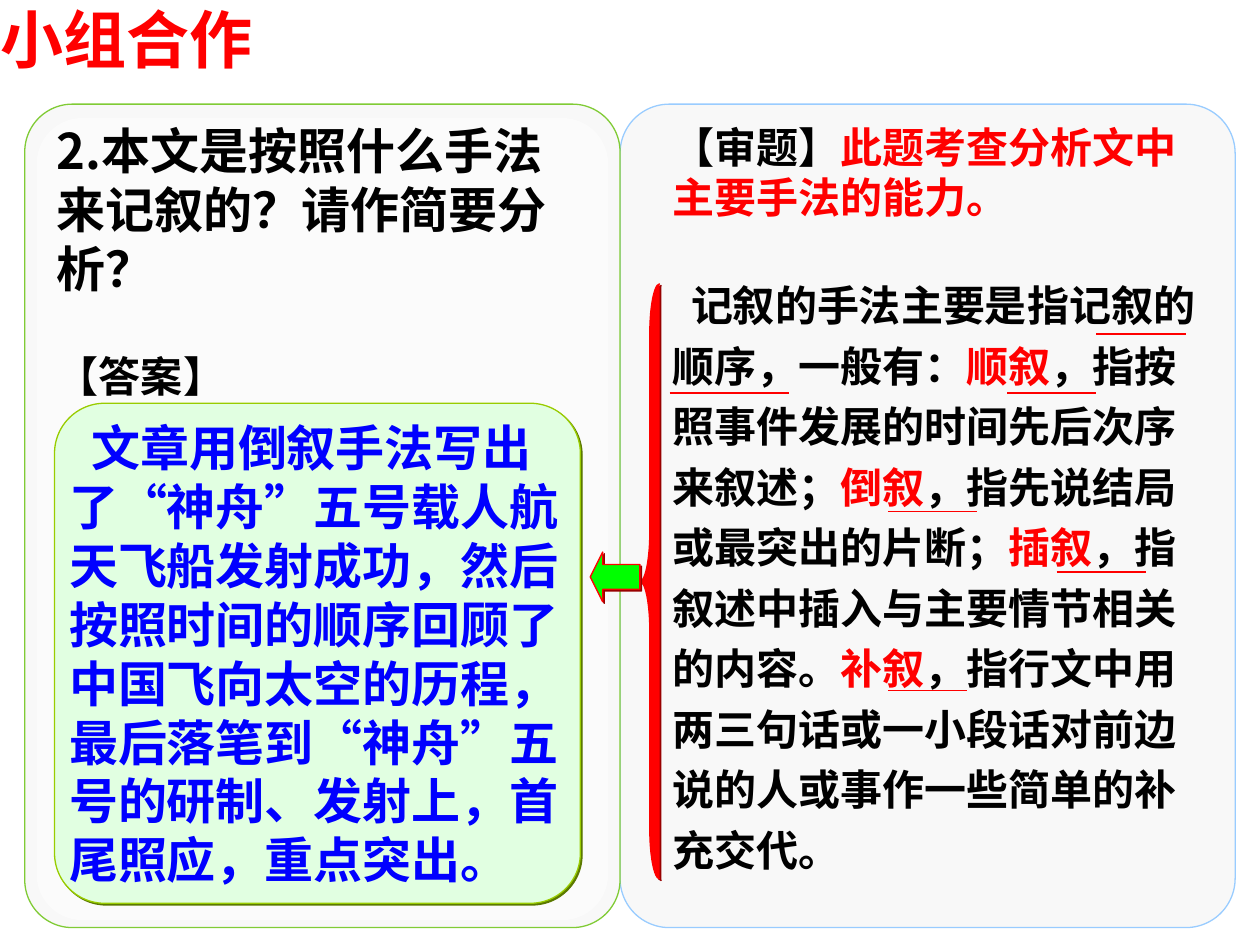
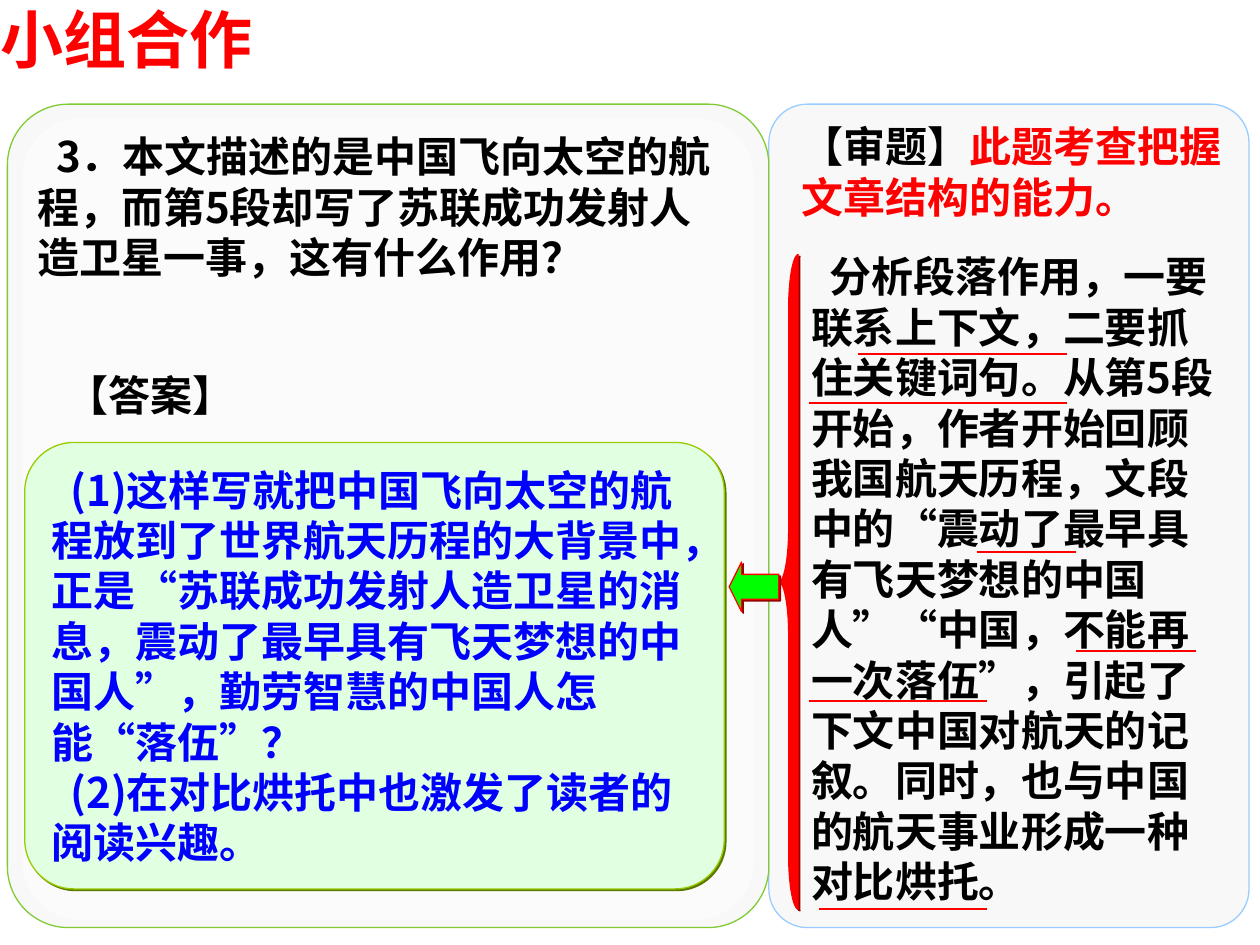
from lxml.etree import SubElement
from pptx import Presentation
from pptx.dml.color import RGBColor
from pptx.enum.lang import MSO_LANGUAGE_ID
from pptx.enum.shapes import MSO_CONNECTOR, MSO_SHAPE
from pptx.enum.text import MSO_ANCHOR, MSO_AUTO_SIZE, PP_ALIGN
from pptx.oxml.ns import qn
from pptx.util import Cm, Pt

BLACK, RED, BLUE, GREEN, WHITE = "000000", "FF0000", "0000FF", "00FF00", "FFFFFF"
PANEL_FILL, LEFT_EDGE, RIGHT_EDGE = "F8F8F8", "80CB35", "99CCFF"
ANSWER_FILL, ANSWER_EDGE = "E1FFE1", "99CC00"
ANSWER_SHADOW, RED_SHADOW = "5B7900", "980000"
CJK_FONT = "Noto Sans CJK SC"
PANEL_TOP, PANEL_HEIGHT = 2.1, 16.6
TOP, MIDDLE = MSO_ANCHOR.TOP, MSO_ANCHOR.MIDDLE


def rgb(color):
    return RGBColor.from_string(color)


def lengths(place):
    return [Cm(value) for value in place]


# Text
def add_span(para, text, size, color, font, shadow):
    span = para.add_run()
    span.text = text
    span.font.size = Pt(size)
    span.font.bold = True
    span.font.language_id = MSO_LANGUAGE_ID.SIMPLIFIED_CHINESE
    span.font.color.rgb = rgb(color)
    properties = span.font._element
    if shadow:
        add_shadow(SubElement(properties, qn("a:effectLst")), BLACK)
    span.font.name = font
    SubElement(properties, qn("a:ea"), typeface=CJK_FONT)


def write(shape, text, size=24, color=BLACK, font=CJK_FONT, anchor=TOP,
          margins=(0.25, 0.13), shadow=True, indent=False, spacing=None):
    """Fill a shape with text; parts between asterisks are red."""
    frame = shape.text_frame
    frame.word_wrap = True
    frame.auto_size = MSO_AUTO_SIZE.NONE
    frame.vertical_anchor = anchor
    frame.margin_left = frame.margin_right = Cm(margins[0])
    frame.margin_top = frame.margin_bottom = Cm(margins[1])
    for number, line in enumerate(text.split("\n")):
        para = frame.add_paragraph() if number else frame.paragraphs[0]
        para.alignment = PP_ALIGN.LEFT
        if spacing:
            para.line_spacing = spacing
        if indent:
            para._p.get_or_add_pPr().set("indent", str(Pt(size * 0.45)))
        for part, words in enumerate(line.split("*")):
            if words:
                add_span(para, words, size, RED if part % 2 else color, font, shadow)


def add_text(page, place, text, **style):
    write(page.shapes.add_textbox(*lengths(place)), text, **style)


# Shapes
def add_shadow(effects, color):
    shadow = SubElement(effects, qn("a:outerShdw"), dist=str(Pt(1.4)), dir="2700000",
                        algn="ctr", rotWithShape="0")
    SubElement(shadow, qn("a:srgbClr"), val=color)


def add_form(page, kind, place, fill, edge=None, adjust=(), shadow=None, alpha=None):
    form = page.shapes.add_shape(kind, *lengths(place))
    for number, value in enumerate(adjust):
        form.adjustments[number] = value
    form.fill.solid()
    form.fill.fore_color.rgb = rgb(fill)
    if alpha:
        tint = form._element.spPr.find(qn("a:solidFill"))[0]
        SubElement(tint, qn("a:alpha"), val=str(alpha * 1000))
    if edge:
        form.line.color.rgb = rgb(edge)
        form.line.width = Pt(0.75)
    else:
        form.line.fill.background()
    form.shadow.inherit = False
    if shadow:
        add_shadow(form._element.spPr.find(qn("a:effectLst")), shadow)
    return form


def add_panels(page, left, split, right):
    """Two rounded panels that meet at split, the left one with a pale inner sheet."""
    rounded = MSO_SHAPE.ROUNDED_RECTANGLE
    width = split - left
    inset = width * 0.02
    add_form(page, rounded, (split, PANEL_TOP, right - split, PANEL_HEIGHT),
             PANEL_FILL, RIGHT_EDGE, [0.08])
    add_form(page, rounded, (left, PANEL_TOP, width, PANEL_HEIGHT),
             PANEL_FILL, LEFT_EDGE, [0.08])
    add_form(page, rounded, (left + inset, PANEL_TOP + 0.28, width - 2 * inset,
                             PANEL_HEIGHT - 0.43), WHITE, adjust=[0.08], alpha=50)


def add_answer(page, place, text, corner, **style):
    box = add_form(page, MSO_SHAPE.ROUNDED_RECTANGLE, place, ANSWER_FILL, ANSWER_EDGE,
                   [corner], ANSWER_SHADOW)
    write(box, text, color=BLUE, anchor=MIDDLE, shadow=False, indent=True, **style)


def add_brace_and_arrow(page, left, top, height, curve, arrow_top):
    add_form(page, MSO_SHAPE.LEFT_BRACE, (left, top, 0.4, height), RED, RED,
             [curve, 0.5], RED_SHADOW)
    add_form(page, MSO_SHAPE.LEFT_ARROW, (left - 1, arrow_top, 1, 1), GREEN, RED,
             [0.5, 0.25], RED_SHADOW)


def add_underlines(page, lines):
    for start, end, height in lines:
        line = page.shapes.add_connector(MSO_CONNECTOR.STRAIGHT, Cm(start), Cm(height),
                                         Cm(end), Cm(height))
        line.line.color.rgb = rgb(RED)
        line.line.width = Pt(1)
        SubElement(line._element.spPr, qn("a:effectLst"))


# Pages
def add_page(deck, left, split, right):
    page = deck.slides.add_slide(deck.slide_layouts[5])
    title = page.shapes.title
    title.left, title.top, title.width, title.height = lengths((0, 0, 8.5, 1.52))
    write(title, "小组合作", size=36, color=RED, font="Arial", margins=(0, 0))
    add_panels(page, left, split, right)
    return page


def add_narration_page(deck):
    page = add_page(deck, 0.5, 12.5, 24.9)
    add_text(page, (0.9, 2.31, 10.8, 3.81), "2.本文是按照什么手法来记叙的？请作简要分析？",
             size=28, anchor=MIDDLE)
    add_answer(page, (1.1, 8.13, 10.6, 10.08),
               "文章用倒叙手法写出了“神舟”五号载人航天飞船发射成功，然后按照时间的顺序"
               "回顾了中国飞向太空的历程，最后落笔到“神舟”五号的研制、发射上，首尾照应，"
               "重点突出。", 0.1, size=28, margins=(0, 0))
    add_text(page, (13.3, 2.31, 10.9, 2.29), "【审题】*此题考查分析文中主要手法的能力。*",
             font="Arial")
    add_text(page, (13.3, 5.31, 11.4, 12.45),
             "记叙的手法主要是指记叙的顺序，一般有：*顺叙*，指按照事件发展的时间先后次序"
             "来叙述；*倒叙*，指先说结局或最突出的片断；*插叙*，指叙述中插入与主要情节相关"
             "的内容。*补叙*，指行文中用两三句话或一小段话对前边说的人或事作一些简单的补充"
             "交代。", anchor=MIDDLE, indent=True, spacing=1.2)
    add_underlines(page, [(22.1, 23.9, 6.73), (13.5, 15.9, 7.92), (20.3, 22.1, 7.92),
                          (17.9, 19.7, 10.31), (21.3, 23.1, 11.53), (17.9, 19.5, 13.92)])
    add_brace_and_arrow(page, 12.9, 5.72, 12, 2.5, 11.13)
    add_text(page, (0.9, 6.93, 4.6, 1.27), "【答案】", font="Arial")


def add_structure_page(deck):
    page = add_page(deck, 0.15, 15.5, 25.18)
    add_text(page, (0.5, 2.51, 14.2, 3.3),
             "3．本文描述的是中国飞向太空的航程，而第5段却写了苏联成功发射人造卫星一事，"
             "这有什么作用？", anchor=MIDDLE, indent=True)
    add_answer(page, (0.5, 8.92, 14.1, 9),
               "(1)这样写就把中国飞向太空的航程放到了世界航天历程的大背景中，正是“苏联成功"
               "发射人造卫星的消息，震动了最早具有飞天梦想的中国人”，勤劳智慧的中国人怎能"
               "“落伍”？\n(2)在对比烘托中也激发了读者的阅读兴趣。", 0.11)
    add_text(page, (15.9, 2.31, 9.2, 2.29), "【审题】*此题考查把握文章结构的能力。*",
             anchor=MIDDLE)
    add_text(page, (16.1, 4.93, 8.8, 13.46),
             "分析段落作用，一要联系上下文，二要抓住关键词句。从第5段开始，作者开始回顾"
             "我国航天历程，文段中的“震动了最早具有飞天梦想的中国人”“中国，不能再一次"
             "落伍”，引起了下文中国对航天的记叙。同时，也与中国的航天事业形成一种对比"
             "烘托。", indent=True)
    add_underlines(page, [(17.3, 21.5, 7.13), (16.3, 21.5, 8.13), (19.7, 21.7, 11.13),
                          (21.7, 24.1, 13.13), (16.3, 19.9, 14.13), (16.5, 19.9, 18.33)])
    add_brace_and_arrow(page, 15.7, 5.13, 13.2, 2.7, 11.33)
    add_text(page, (1.1, 7.32, 4.4, 1.27), "【答案】", font="Arial")


def main():
    deck = Presentation()
    deck.slide_width, deck.slide_height = Cm(25.4), Cm(19.05)
    add_narration_page(deck)
    add_structure_page(deck)
    deck.save("out.pptx")


if __name__ == "__main__":
    main()
